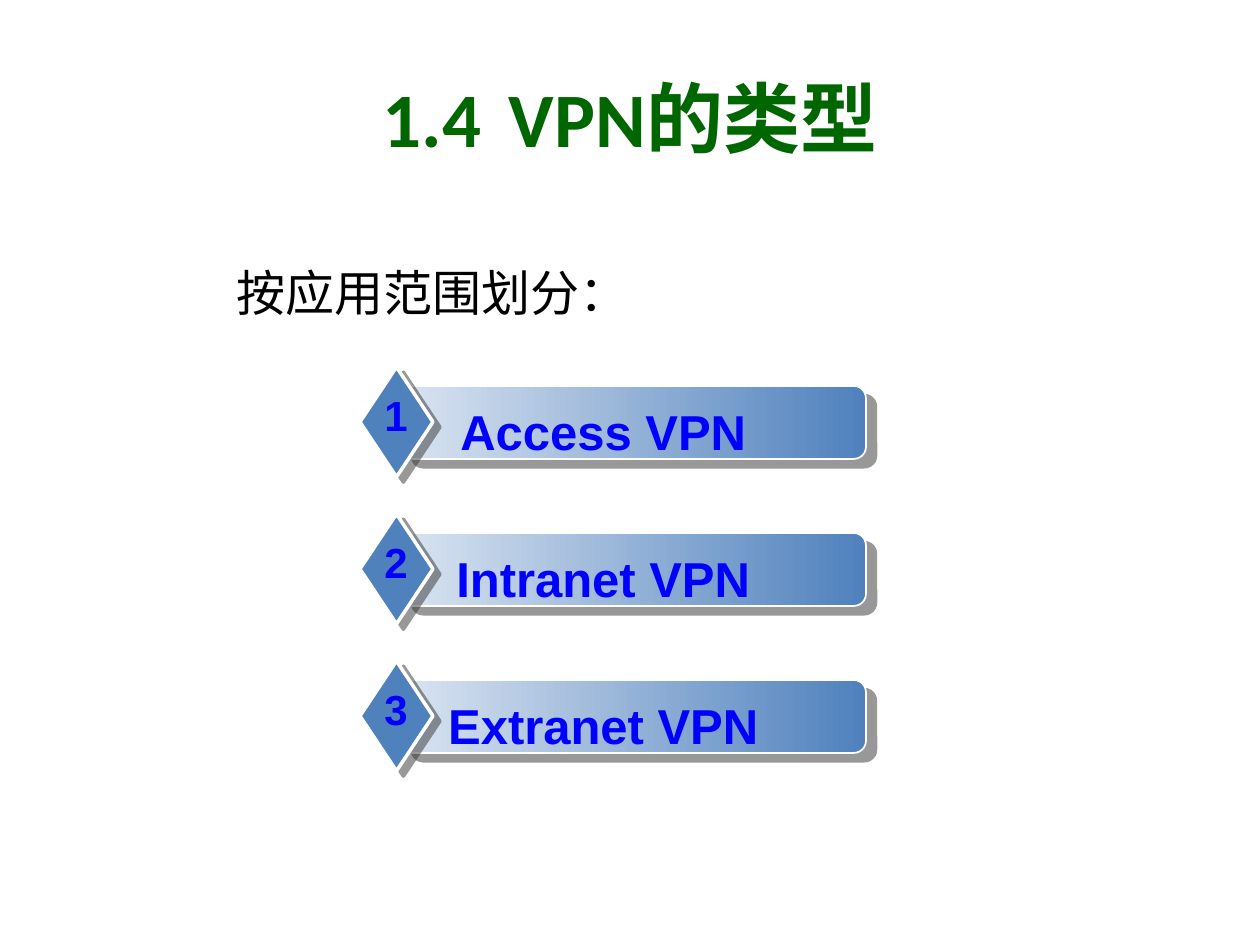
from lxml import etree
from pptx import Presentation, util as u
from pptx.dml.color import RGBColor
from pptx.enum import shapes, text
from pptx.oxml.ns import qn

GREEN = RGBColor(0x00, 0x66, 0x00)
BLUE = RGBColor(0x00, 0x00, 0xFF)
STEEL = RGBColor(0x4F, 0x81, 0xBD)
PALE = RGBColor(0xDA, 0xE4, 0xF1)
SHADE = RGBColor(0x33, 0x33, 0x33)
WHITE = RGBColor(0xFF, 0xFF, 0xFF)
BLACK = RGBColor(0x00, 0x00, 0x00)

CJK = "Noto Sans CJK SC"
PX_PER_INCH = 126
TYPES = ["Access VPN ", "Intranet VPN ", "Extranet VPN "]
FIRST_TOP, STEP = 367, 147


def px(value):
    return u.Inches(value / PX_PER_INCH)


def write(frame, words, size, color, font="Arial", bold=False):
    """Put one centred, formatted paragraph into a text frame."""
    para = frame.paragraphs[0]
    para.alignment = text.PP_ALIGN.CENTER
    tabs = etree.SubElement(para._p.get_or_add_pPr(), qn("a:tabLst"))
    for inch in range(8):
        etree.SubElement(tabs, qn("a:tab"), pos=str(u.Inches(inch)), algn="l")
    span = para.add_run()
    span.text = words
    span.font.size = u.Pt(size)
    span.font.bold = bold
    span.font.name = font
    span.font.color.rgb = color
    etree.SubElement(span._r.get_or_add_rPr(), qn("a:ea"), typeface=CJK)


class Slide:
    """The current page and its style."""

    def __init__(self, deck):
        self.page = deck.slides.add_slide(deck.slide_layouts[5])

    def title(self, words, left, top, width, height):
        box = self.page.shapes.title
        box.left, box.top, box.width, box.height = map(px, (left, top, width, height))
        box.text_frame.vertical_anchor = text.MSO_ANCHOR.MIDDLE
        write(box.text_frame, words, 44, GREEN, font="Calibri", bold=True)

    def label(self, parent, words, left, top, width, height, wrap=True, **style):
        box = parent.shapes.add_textbox(*map(px, (left, top, width, height)))
        box.text_frame.word_wrap = wrap
        box.text_frame.auto_size = text.MSO_AUTO_SIZE.SHAPE_TO_FIT_TEXT
        write(box.text_frame, words, **style)

    def outline(self, parent, kind, left, top, width, height, border):
        shape = parent.shapes.add_shape(kind, *map(px, (left, top, width, height)))
        shape.fill.solid()
        shape.fill.fore_color.rgb = STEEL
        shape.line.color.rgb = WHITE
        shape.line.width = u.Pt(border)
        return shape

    def shadow(self, shape, distance, angle):
        shape.shadow.inherit = False
        effects = shape._element.spPr.find(qn("a:effectLst"))
        outer = etree.SubElement(effects, qn("a:outerShdw"), blurRad="0",
                                 dist=str(u.Pt(distance)), dir=str(angle * 60000),
                                 algn="ctr", rotWithShape="0")
        color = etree.SubElement(outer, qn("a:srgbClr"), val=str(SHADE))
        etree.SubElement(color, qn("a:alpha"), val="50000")

    def item(self, number, words, top):
        group = self.page.shapes.add_group_shape()
        # Gradient bar
        bar = self.outline(group, shapes.MSO_SHAPE.ROUNDED_RECTANGLE,
                           401, top + 19, 465, 73, border=1)
        bar.fill.gradient()
        bar.fill.gradient_angle = 0
        for stop, color, place in zip(bar.fill.gradient_stops, (PALE, STEEL), (0, 1)):
            stop.color.rgb = color
            stop.position = place
        self.shadow(bar, 7.8, 40)
        # Diamond
        diamond = self.outline(group, shapes.MSO_SHAPE.DIAMOND,
                               360, top, 73, 110, border=2)
        self.shadow(diamond, 5, 37)
        # Name and number
        self.label(group, words, 426, top + 28, 368, 72,
                   size=28, color=BLUE, bold=True)
        self.label(group, str(number), 372, top + 16, 48, 63, wrap=False,
                   size=24, color=BLUE, bold=True)


def main():
    deck = Presentation()
    deck.slide_width, deck.slide_height = u.Inches(10), u.Inches(7.5)
    slide = Slide(deck)

    # Numbered VPN types
    for index, words in enumerate(TYPES):
        slide.item(index + 1, words, FIRST_TOP + index * STEP)

    # Heading and lead-in
    slide.label(slide.page, "按应用范围划分：", 200, 256, 416, 72, wrap=False,
                size=28, color=BLACK, font=CJK)
    slide.title("1.4\tVPN的类型", 63, 38, 1134, 158)

    deck.save("out.pptx")


if __name__ == "__main__":
    main()
